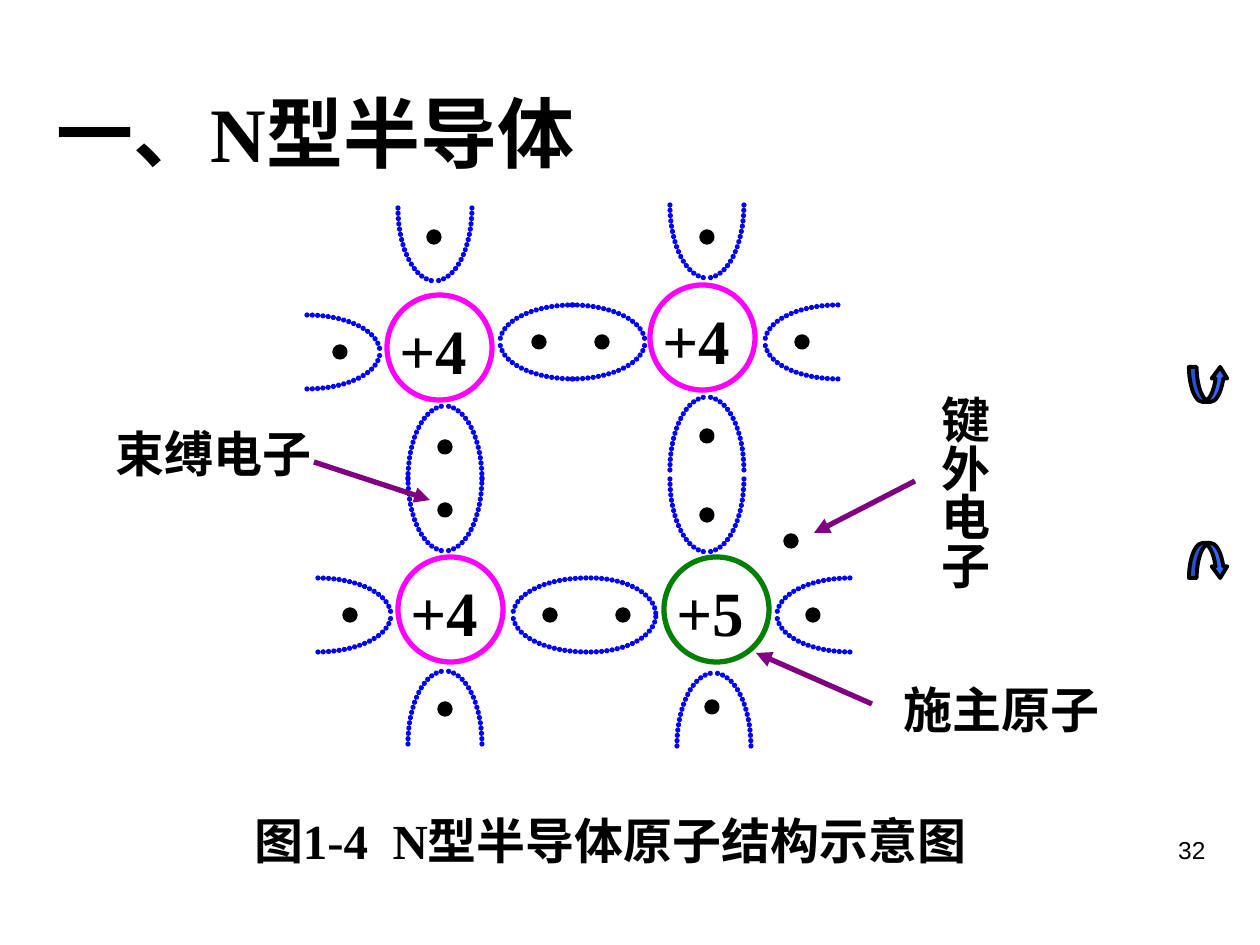
from dataclasses import dataclass
from math import cos, pi, sin

from lxml import etree
from pptx import Presentation
from pptx.dml.color import RGBColor
from pptx.enum.shapes import MSO_CONNECTOR, MSO_SHAPE
from pptx.enum.text import MSO_ANCHOR, PP_ALIGN
from pptx.oxml.ns import qn
from pptx.util import Emu, Pt

OVAL = MSO_SHAPE.OVAL
CURVED_UP = MSO_SHAPE.CURVED_UP_ARROW
CURVED_DOWN = MSO_SHAPE.CURVED_DOWN_ARROW
STRAIGHT = MSO_CONNECTOR.STRAIGHT
LEFT_ALIGN, RIGHT_ALIGN = PP_ALIGN.LEFT, PP_ALIGN.RIGHT
MIDDLE = MSO_ANCHOR.MIDDLE

EMU_PER_PX = 914400 / 126
ATOM_SIZE, ELECTRON_SIZE = 105, 10
ORBIT_REACH, ORBIT_SPREAD, ARC_STEPS = 73, 37, 16
UP, DOWN, LEFT, RIGHT = (0, -1), (0, 1), (-1, 0), (1, 0)


@dataclass(frozen=True)
class Theme:
    """Colours, fonts and sizes of the slide."""
    ink: str = "000000"
    silicon: str = "FF00FF"
    donor: str = "008000"
    orbit: str = "0000FF"
    pointer: str = "800080"
    button: str = "3366FF"
    serif: str = "Times New Roman"
    sans: str = "Arial"
    title_size: int = 44
    atom_size: int = 36
    label_size: int = 28
    number_size: int = 14
    line: float = 3
    button_line: float = 2.25


THEME = Theme()

ATOMS = [
    (387, 295, "+4", THEME.silicon),
    (650, 285, "+4", THEME.silicon),
    (398, 557, "+4", THEME.silicon),
    (664, 557, "+5", THEME.donor),
]
HALF_ORBITS = [
    (435, 208, DOWN), (707, 205, DOWN), (445, 478, DOWN), (707, 479, DOWN),
    (445, 479, UP), (707, 470, UP), (714, 746, UP), (445, 744, UP),
    (838, 342, LEFT), (850, 615, LEFT), (586, 615, LEFT), (573, 342, LEFT),
    (307, 352, RIGHT), (318, 615, RIGHT), (572, 342, RIGHT),
    (591, 615, RIGHT, 65),
]
ELECTRONS = [
    (434, 237), (707, 237), (340, 352), (539, 342), (602, 342), (802, 342),
    (445, 447), (445, 510), (707, 436), (707, 515), (791, 541), (350, 615),
    (550, 615), (623, 615), (813, 615), (445, 709), (712, 707),
]
POINTERS = [
    (314, 462, 430, 500),
    (915, 481, 814, 533),
    (872, 704, 756, 653),
]


def px(value):
    """Turn pixels into EMU."""
    return Emu(round(value * EMU_PER_PX))


def box(*lengths):
    """Turn several pixel lengths into EMU."""
    return [px(length) for length in lengths]


def color(value):
    """Turn a hex string into a colour."""
    return RGBColor.from_string(value)


def paint(shape, line, fill=None, width=THEME.line):
    """Set fill and outline and drop the shadow."""
    shape.shadow.inherit = False
    if fill:
        shape.fill.solid()
        shape.fill.fore_color.rgb = color(fill)
    else:
        shape.fill.background()
    shape.line.color.rgb = color(line)
    shape.line.width = Pt(width)


def write(frame, text, size, font=THEME.serif, bold=True, align=LEFT_ALIGN):
    """Write one formatted run into a text frame."""
    frame.word_wrap = True
    paragraph = frame.paragraphs[0]
    paragraph.alignment = align
    run = paragraph.add_run()
    run.text = text
    run.font.name = font
    run.font.size = Pt(size)
    run.font.bold = bold
    run.font.color.rgb = color(THEME.ink)


def add_title(slide, text):
    """Place and fill the title placeholder."""
    title = slide.shapes.title
    title.left, title.top, title.width, title.height = box(44, 53, 1177, 157)
    title.text_frame.vertical_anchor = MIDDLE
    write(title.text_frame, text, THEME.title_size)


def add_label(slide, area, text, size=THEME.label_size, **style):
    """Add a text box and return its frame."""
    frame = slide.shapes.add_textbox(*box(*area)).text_frame
    write(frame, text, size, **style)
    return frame


def add_vertical_label(slide, area, text):
    """Add a text box whose characters run downwards in one column."""
    frame = add_label(slide, area, text)
    frame.margin_left = frame.margin_right = px(6)
    frame.margin_top, frame.margin_bottom = px(12), px(0)
    frame._txBody.find(qn("a:bodyPr")).set("vert", "eaVert")


def add_atom(slide, left, top, charge, ring):
    """Add an atom core with its charge."""
    core = slide.shapes.add_shape(OVAL, *box(left, top, ATOM_SIZE, ATOM_SIZE))
    paint(core, ring)
    add_label(slide, (left, top + 10, 126, 88), charge, THEME.atom_size)


def add_electron(slide, center_x, center_y):
    """Add an electron around its centre."""
    corner = center_x - ELECTRON_SIZE / 2, center_y - ELECTRON_SIZE / 2
    dot = slide.shapes.add_shape(
        OVAL, *box(*corner, ELECTRON_SIZE, ELECTRON_SIZE))
    paint(dot, THEME.ink, THEME.ink)


def dot_line(shape):
    """Make an outline of closely set round dots."""
    outline = shape.line._get_or_add_ln()
    outline.set("cap", "rnd")
    dash = etree.Element(qn("a:custDash"))
    etree.SubElement(dash, qn("a:ds"), d="100000", sp="1000")
    outline.find(qn("a:solidFill")).addnext(dash)


def add_half_orbit(slide, x, y, direction, reach=ORBIT_REACH):
    """Add two quarter arcs that meet at a tip in the given direction."""
    dx, dy = direction
    for side in (-ORBIT_SPREAD, ORBIT_SPREAD):
        points = []
        for step in range(ARC_STEPS + 1):
            angle = step * pi / 2 / ARC_STEPS
            along, across = reach * sin(angle), side * cos(angle)
            points.append(box(x + dx * along + dy * across,
                              y + dy * along + dx * across))
        builder = slide.shapes.build_freeform(*points[0])
        builder.add_line_segments(points[1:], close=False)
        arc = builder.convert_to_shape()
        paint(arc, THEME.orbit)
        dot_line(arc)


def add_pointer(slide, *ends):
    """Add a straight arrow."""
    pointer = slide.shapes.add_connector(STRAIGHT, *box(*ends))
    pointer.line.color.rgb = color(THEME.pointer)
    pointer.line.width = Pt(THEME.line)
    outline = pointer.line._get_or_add_ln()
    etree.SubElement(outline, qn("a:tailEnd"), type="triangle")
    etree.SubElement(pointer._element.spPr, qn("a:effectLst"))


def add_turn_button(slide, preset, top):
    """Add a curved arrow at the right edge."""
    button = slide.shapes.add_shape(preset, *box(1189, top, 39, 35))
    for index, value in enumerate((0.22, 0.44, 0.33)):
        button.adjustments[index] = value
    paint(button, THEME.ink, THEME.button, THEME.button_line)


def main():
    """Build and save the slide."""
    presentation = Presentation()
    presentation.slide_width, presentation.slide_height = box(1260, 945)
    slide = presentation.slides.add_slide(presentation.slide_layouts[5])
    add_turn_button(slide, CURVED_DOWN, 543)
    add_turn_button(slide, CURVED_UP, 367)
    add_title(slide, "一、N型半导体")
    add_label(slide, (903, 829, 315, 66), "32", THEME.number_size,
              font=THEME.sans, bold=False, align=RIGHT_ALIGN)
    caption = add_label(slide, (219, 804, 798, 72),
                        "图1-4  N型半导体原子结构示意图")
    caption.margin_left = px(35)
    for atom in ATOMS:
        add_atom(slide, *atom)
    for orbit in HALF_ORBITS:
        add_half_orbit(slide, *orbit)
    for electron in ELECTRONS:
        add_electron(slide, *electron)
    add_vertical_label(slide, (917, 383, 83, 221), "键外电子")
    add_label(slide, (103, 417, 226, 72), "束缚电子")
    add_label(slide, (891, 673, 226, 72), "施主原子")
    for pointer in POINTERS:
        add_pointer(slide, *pointer)
    presentation.save("out.pptx")


if __name__ == "__main__":
    main()
